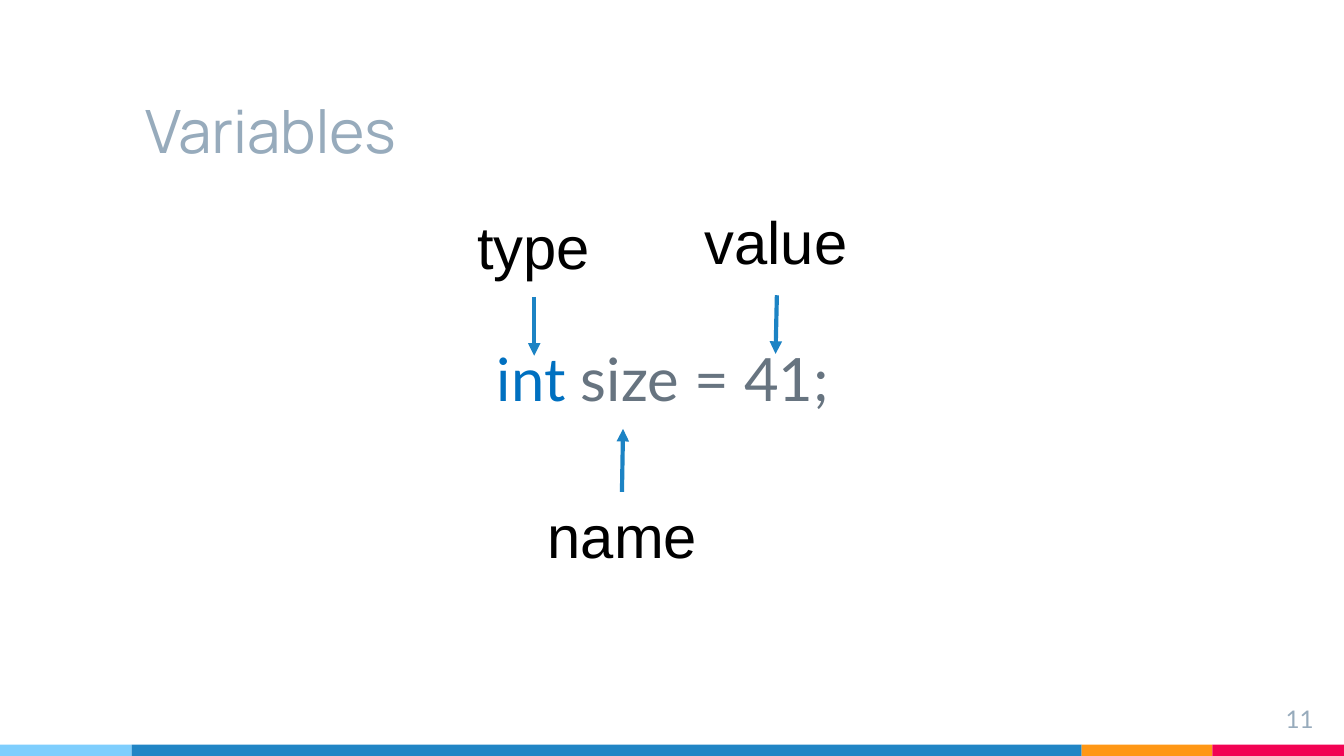
import pptx
import pptx.dml.color
import pptx.enum.shapes
import pptx.enum.text
import pptx.oxml
import pptx.oxml.ns
import pptx.util

Pt = pptx.util.Pt
RGBColor = pptx.dml.color.RGBColor
Align = pptx.enum.text.PP_ALIGN
Anchor = pptx.enum.text.MSO_ANCHOR
AutoSize = pptx.enum.text.MSO_AUTO_SIZE

SKY = RGBColor(0x7E, 0xCE, 0xFD)
BLUE = RGBColor(0x21, 0x85, 0xC5)
ORANGE = RGBColor(0xFF, 0x97, 0x15)
CRIMSON = RGBColor(0xF2, 0x02, 0x53)
ARROW_BLUE = RGBColor(0x1C, 0x83, 0xC4)
KEYWORD_BLUE = RGBColor(0x00, 0x70, 0xC0)
CODE_GRAY = RGBColor(0x67, 0x74, 0x80)
PALE_GRAY = RGBColor(0x97, 0xAB, 0xBC)
BLACK = RGBColor(0, 0, 0)


def write_text(shape, runs, *, font, size, align=Align.LEFT, anchor=Anchor.TOP,
               inset=7.2, wrap=True, grow=False, space_before=0):
    """Write one paragraph made of (text, colour) runs."""
    frame = shape.text_frame
    frame.word_wrap = wrap
    frame.auto_size = AutoSize.SHAPE_TO_FIT_TEXT if grow else AutoSize.NONE
    frame.vertical_anchor = anchor
    frame.margin_left = frame.margin_right = Pt(inset)
    frame.margin_top = frame.margin_bottom = Pt(inset)
    paragraph = frame.paragraphs[0]
    paragraph.alignment = align
    paragraph.space_before = Pt(space_before)
    for text, color in runs:
        run = paragraph.add_run()
        run.text = text
        run.font.name = font
        run.font.size = Pt(size)
        run.font.color.rgb = color


def add_stripe(slide, left, top, height):
    for width, color in ((70.5, SKY), (509, BLUE), (70, ORANGE), (70.5, CRIMSON)):
        band = slide.shapes.add_shape(pptx.enum.shapes.MSO_SHAPE.RECTANGLE,
                                      Pt(left), Pt(top), Pt(width), Pt(height))
        band.shadow.inherit = False
        band.fill.solid()
        band.fill.fore_color.rgb = color
        band.line.fill.background()
        left += width


def place_title(slide, left, top, width, height):
    title = slide.shapes.title
    title.left, title.top = Pt(left), Pt(top)
    title.width, title.height = Pt(width), Pt(height)
    write_text(title, [("Variables", PALE_GRAY)], font="Manrope", size=32,
               anchor=Anchor.BOTTOM)


def add_statement(slide, left, top, width, height):
    box = slide.shapes.add_textbox(Pt(left), Pt(top), Pt(width), Pt(height))
    write_text(box, [("int", KEYWORD_BLUE), (" size = 41;", CODE_GRAY)],
               font="Lato", size=32, align=Align.CENTER, space_before=6)


def add_page_number(slide, left, top, width, height):
    box = slide.shapes.add_textbox(Pt(left), Pt(top), Pt(width), Pt(height))
    write_text(box, [("11", PALE_GRAY)], font="Lato", size=13,
               align=Align.RIGHT)


def add_callout(slide, text, left, top, width, height, start, end):
    """Group a label with the arrow that leads from it to the code."""
    group = slide.shapes.add_group_shape()
    arrow = group.shapes.add_connector(pptx.enum.shapes.MSO_CONNECTOR.STRAIGHT,
                                       *(Pt(value) for value in start + end))
    arrow.line.color.rgb = ARROW_BLUE
    arrow.line.width = Pt(2.25)
    # Arrowhead, and no theme shadow
    head = pptx.oxml.parse_xml(
        f'<a:tailEnd {pptx.oxml.ns.nsdecls("a")} type="triangle"/>')
    arrow.line._get_or_add_ln().append(head)
    arrow._element.spPr.append(pptx.oxml.parse_xml(
        f'<a:effectLst {pptx.oxml.ns.nsdecls("a")}/>'))
    label = group.shapes.add_textbox(Pt(left), Pt(top), Pt(width), Pt(height))
    write_text(label, [(text, BLACK)], font="Arial", size=32, inset=3.6,
               wrap=False, grow=True)


def main():
    presentation = pptx.Presentation()
    presentation.slide_width, presentation.slide_height = Pt(720), Pt(405)
    slide = presentation.slides.add_slide(presentation.slide_layouts[5])

    # Frame of the slide
    add_stripe(slide, 0, 399, 6)
    place_title(slide, 70.5, 28, 509, 68)

    # Code line and page number
    add_statement(slide, 100.8, 175.8, 509, 195)
    add_page_number(slide, 676, 370, 34.8, 30)

    # Parts of the declaration
    add_callout(slide, "name", 289.8, 263.5, 88.6, 43.2, (333.2, 263.5), (333.8, 229.8))
    add_callout(slide, "type", 252, 108.7, 68.4, 43.2, (286.2, 159), (286.2, 190.6))
    add_callout(slide, "value", 373.8, 106.2, 85, 43.2, (416.2, 158.2), (415.5, 189.6))

    presentation.save("out.pptx")


if __name__ == "__main__":
    main()
